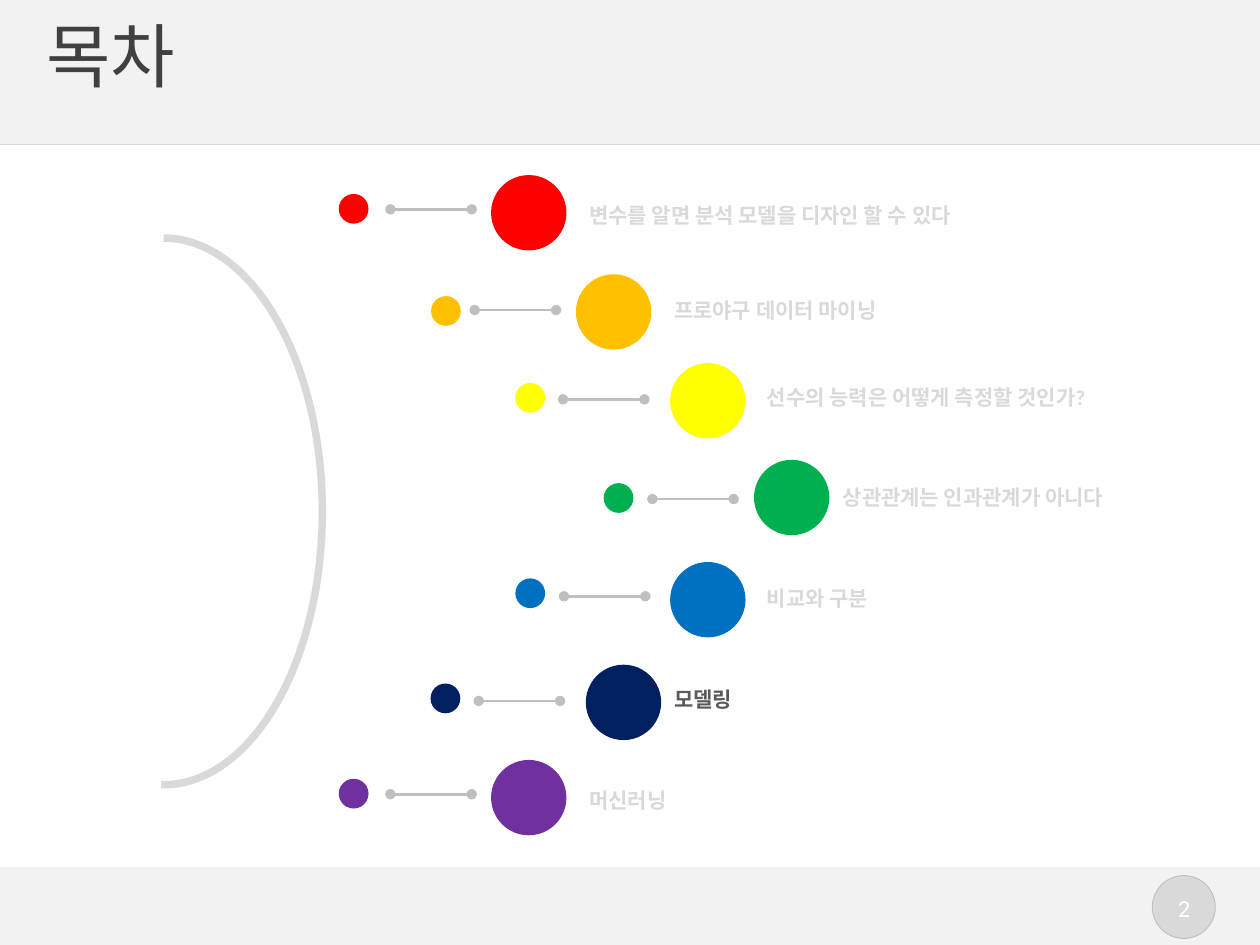
from lxml.etree import SubElement
from pptx import Presentation
from pptx.dml.color import RGBColor
from pptx.enum.shapes import MSO_CONNECTOR, MSO_SHAPE
from pptx.enum.text import MSO_ANCHOR, MSO_AUTO_SIZE, PP_ALIGN
from pptx.oxml.ns import qn
from pptx.util import Cm, Pt

COLORS = {
    "band": "F2F2F2", "pale": "D9D9D9", "gray": "BFBFBF", "white": "FFFFFF",
    "title": "404040", "active": "595959",
    "red": "FF0000", "orange": "FFC000", "yellow": "FFFF00", "green": "00B050",
    "blue": "0070C0", "navy": "002060", "purple": "7030A0",
}
RGB = {name: RGBColor.from_string(value) for name, value in COLORS.items()}

deck = Presentation()
deck.slide_width, deck.slide_height = Cm(25.4), Cm(19.05)
page = deck.slides.add_slide(deck.slide_layouts[6])


def add_filled(kind, left, top, width, height, color):
    """Add a flat preset shape without outline."""
    shape = page.shapes.add_shape(kind, Cm(left), Cm(top), Cm(width), Cm(height))
    shape.shadow.inherit = False
    shape.fill.solid()
    shape.fill.fore_color.rgb = RGB[color]
    shape.line.fill.background()
    return shape


def add_text(text, left, top, width, height, size, color, bold=False):
    """Add a one-run text box and return it."""
    box = page.shapes.add_textbox(Cm(left), Cm(top), Cm(width), Cm(height))
    box.text_frame.word_wrap = True
    span = box.text_frame.paragraphs[0].add_run()
    span.text = text
    span.font.name = "Calibri"
    span.font.size = Pt(size)
    span.font.bold = bold
    span.font.color.rgb = RGB[color]
    return box


# Footer with page number
add_filled(MSO_SHAPE.RECTANGLE, 0, 17.48, 25.4, 1.57, "band")
badge = add_filled(MSO_SHAPE.OVAL, 23.23, 17.65, 1.27, 1.27, "pale")
badge.line.color.rgb = RGB["gray"]
badge.line.width = Pt(0.5)
number = add_text("2", 23.31, 17.88, 1.12, 0.86, 14, "white")
number.text_frame.word_wrap = False
number.text_frame.auto_size = MSO_AUTO_SIZE.SHAPE_TO_FIT_TEXT
number.text_frame.paragraphs[0].alignment = PP_ALIGN.CENTER

# Header with title
add_filled(MSO_SHAPE.RECTANGLE, 0, 0, 25.4, 2.92, "band")
title = add_text("목차", 0.94, 0.33, 23.55, 1.52, 40, "title").text_frame
title.vertical_anchor = MSO_ANCHOR.MIDDLE
title.margin_left = title.margin_right = title.margin_top = title.margin_bottom = 0

# Large arc on the left
arc = page.shapes.add_shape(MSO_SHAPE.ARC, Cm(0.1), Cm(4.8), Cm(6.4), Cm(11.02))
arc.adjustments[0], arc.adjustments[1] = 162, 54.33
arc.shadow.inherit = False
arc.fill.background()
arc.line.color.rgb = RGB["pale"]
arc.line.width = Pt(4.25)

# Chapters: text, colour, then left/top of dot, link, disc and label
chapters = [
    ("변수를 알면 분석 모델을 디자인 할 수 있다", "red",
     (6.83, 3.91), (7.87, 4.22), (9.9, 3.53), (11.63, 3.96)),
    ("프로야구 데이터 마이닝", "orange",
     (8.69, 5.97), (9.57, 6.25), (11.61, 5.53), (13.34, 5.87)),
    ("선수의 능력은 어떻게 측정할 것인가?", "yellow",
     (10.39, 7.72), (11.35, 8.05), (13.51, 7.32), (15.21, 7.62)),
    ("상관관계는 인과관계가 아니다", "green",
     (12.17, 9.74), (13.15, 10.06), (15.2, 9.27), (16.74, 9.65)),
    ("비교와 구분", "blue",
     (10.39, 11.66), (11.37, 12.02), (13.51, 11.33), (15.21, 11.68)),
    ("모델링", "navy",
     (8.68, 13.78), (9.65, 14.13), (11.81, 13.4), (13.34, 13.72)),
    ("머신러닝", "purple",
     (6.83, 15.7), (7.87, 16.01), (9.9, 15.32), (11.63, 15.75)),
]
links = [((0, 2.92), 25.4, "pale", 0.75, None)]
for text, color, dot, link, disc, label in chapters:
    add_filled(MSO_SHAPE.OVAL, *dot, 0.6, 0.6, color)
    add_filled(MSO_SHAPE.OVAL, *disc, 1.52, 1.52, color)
    ink = "active" if text == "모델링" else "pale"
    box = add_text(text, *label, 10.8, 0.77, 12, ink, bold=True)
    box.text_frame.auto_size = MSO_AUTO_SIZE.SHAPE_TO_FIT_TEXT
    links.append((link, 1.64, "gray", 1.5, "oval"))

# Header rule and chapter links
for (left, top), length, color, weight, end in links:
    line = page.shapes.add_connector(
        MSO_CONNECTOR.STRAIGHT, Cm(left), Cm(top), Cm(left + length), Cm(top))
    line.line.color.rgb = RGB[color]
    line.line.width = Pt(weight)
    if end:
        for tag in ("a:headEnd", "a:tailEnd"):
            SubElement(line.line._get_or_add_ln(), qn(tag), type=end)
    SubElement(line._element.spPr, qn("a:effectLst"))

deck.save("out.pptx")
